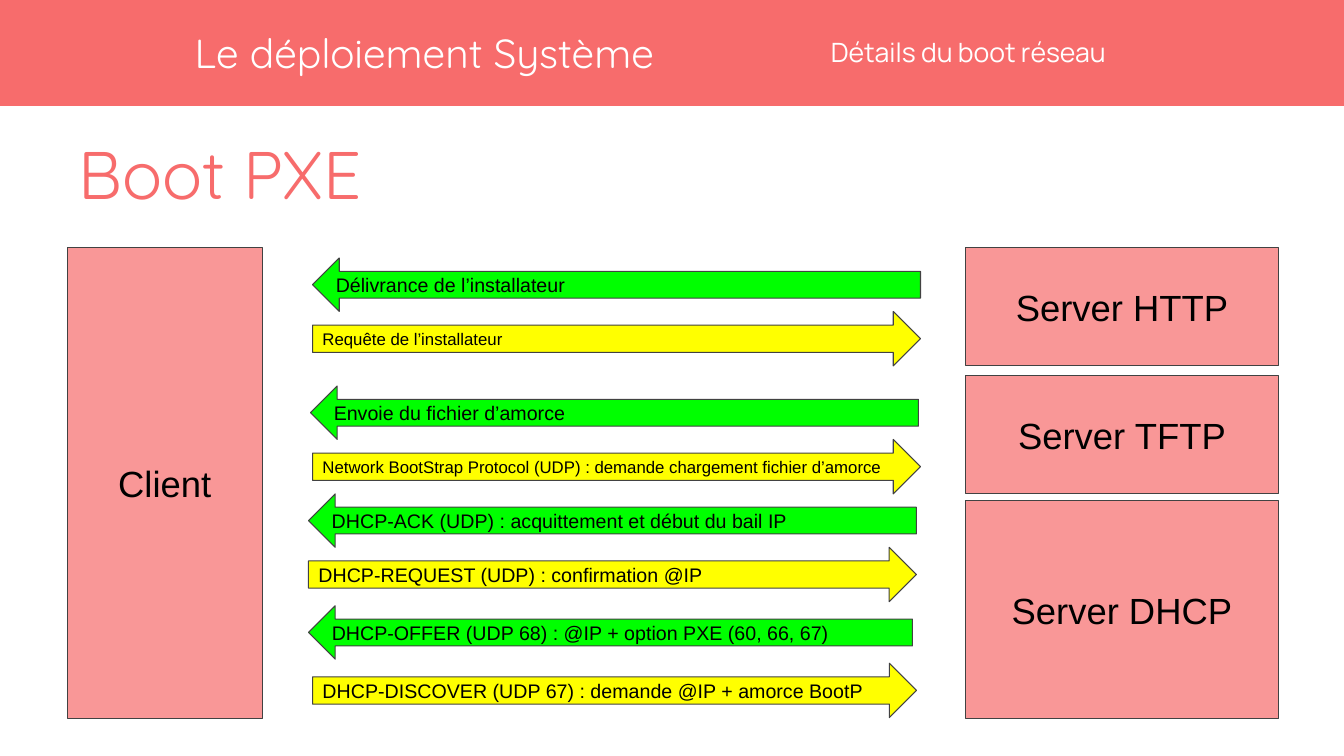
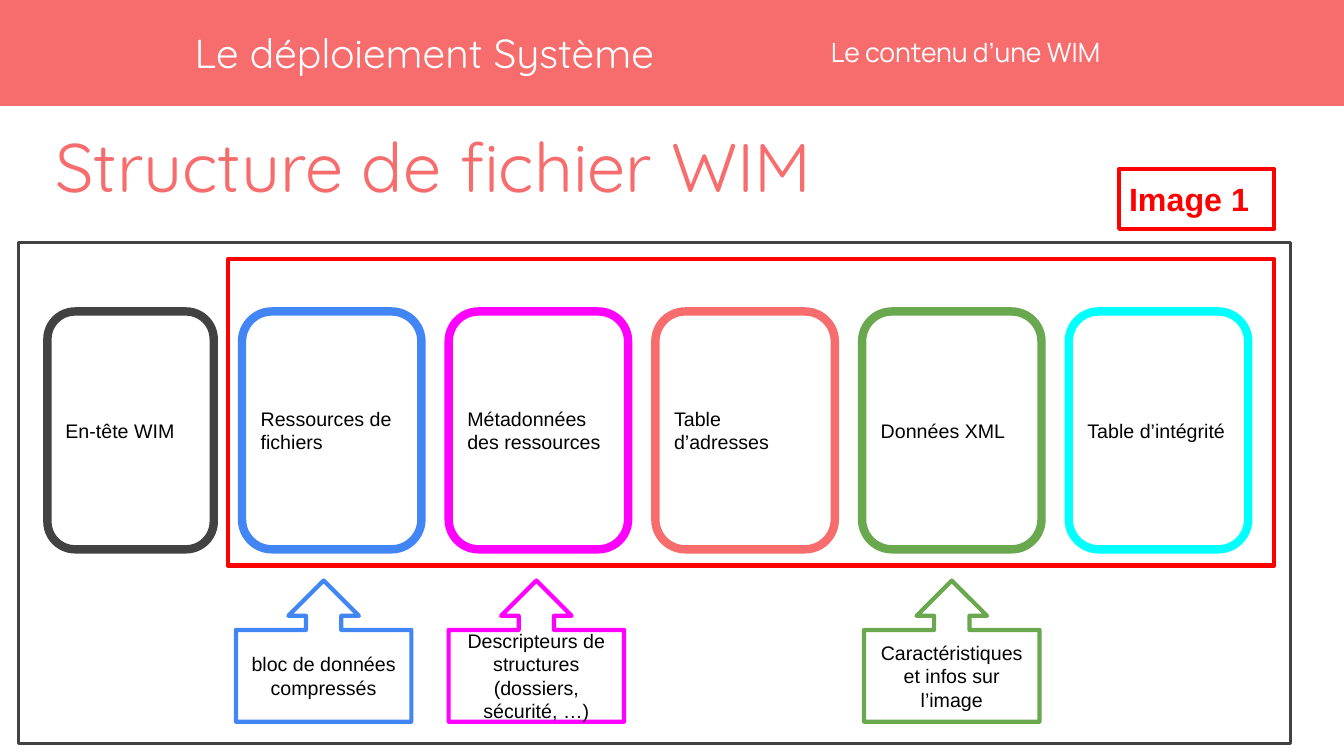
from dataclasses import dataclass

from pptx import Presentation
from pptx.dml.color import RGBColor
from pptx.enum.shapes import MSO_SHAPE as Preset
from pptx.enum.text import MSO_ANCHOR as Anchor, MSO_AUTO_SIZE as AutoSize, PP_ALIGN as Align
from pptx.util import Inches, Pt


@dataclass(frozen=True)
class Theme:
    coral: str = "F76C6C"
    pale_coral: str = "F99797"
    white: str = "FFFFFF"
    black: str = "000000"
    charcoal: str = "424242"
    request: str = "FFFF00"
    reply: str = "00FF00"
    red: str = "FF0000"
    blue: str = "4285F4"
    magenta: str = "FF00FF"
    green: str = "6AA84F"
    cyan: str = "00FFFF"
    heading_font: str = "Quicksand"
    subject_font: str = "Manrope"
    body_font: str = "Arial"
    course_size: int = 29
    subject_size: int = 19
    node_size: int = 26
    tag_size: int = 23
    body_size: int = 14
    small_size: int = 12
    thin: float = 0.75
    frame: float = 2.25
    medium: float = 3
    thick: float = 6


theme = Theme()


def write_text(shape, text, size, color=theme.black, font=theme.body_font,
               align=Align.LEFT, anchor=Anchor.MIDDLE, inset=0.1):
    frame = shape.text_frame
    frame.word_wrap = True
    frame.vertical_anchor = anchor
    frame.margin_left = frame.margin_right = Inches(inset)
    frame.margin_top = frame.margin_bottom = Inches(inset)
    paragraph = frame.paragraphs[0]
    paragraph.text = text
    paragraph.alignment = align
    paragraph.font.name = font
    paragraph.font.size = Pt(size)
    paragraph.font.color.rgb = RGBColor.from_string(color)


def add_box(slide, preset, left, top, width, height, fill=None, line=None, weight=theme.thin):
    shape = slide.shapes.add_shape(preset, Inches(left), Inches(top), Inches(width), Inches(height))
    shape.shadow.inherit = False
    if fill:
        shape.fill.solid()
        shape.fill.fore_color.rgb = RGBColor.from_string(fill)
    else:
        shape.fill.background()
    if line:
        shape.line.color.rgb = RGBColor.from_string(line)
        shape.line.width = Pt(weight)
    else:
        shape.line.fill.background()
    return shape


presentation = Presentation()
presentation.slide_width = Inches(13.33)
presentation.slide_height = Inches(7.5)
blank_layout = presentation.slide_layouts[6]

headers = [
    ("Détails du boot réseau", "Boot PXE", (0.78, 1.31, 12.11, 0.86), 48),
    ("Le contenu d’une WIM", "Structure de fichier WIM", (0.55, 1.23, 12.35, 0.77), 49),
]
slides = []
for subject, title, title_place, title_size in headers:
    slide = presentation.slides.add_slide(blank_layout)
    add_box(slide, Preset.RECTANGLE, -0.02, 0, 13.39, 1.05, theme.coral)
    headings = [
        (subject, (8.24, 0, 5.12, 1.03), theme.subject_size, theme.white, theme.subject_font, Anchor.MIDDLE),
        ("Le déploiement Système", (1.93, 0, 6.25, 1.03), theme.course_size, theme.white,
         theme.heading_font, Anchor.MIDDLE),
        (title, title_place, title_size, theme.coral, theme.heading_font, Anchor.TOP),
    ]
    for text, place, size, color, font, anchor in headings:
        text_box = slide.shapes.add_textbox(*map(Inches, place))
        write_text(text_box, text, size, color, font, anchor=anchor, inset=0)
    slides.append(slide)
boot_slide, wim_slide = slides

nodes = [
    ("Client", 0.67, 2.46, 1.93, 4.67),
    ("Server HTTP", 9.58, 2.46, 3.1, 1.17),
    ("Server TFTP", 9.58, 3.73, 3.1, 1.17),
    ("Server DHCP", 9.58, 4.97, 3.1, 2.16),
]
for text, *place in nodes:
    node = add_box(boot_slide, Preset.RECTANGLE, *place, theme.pale_coral, theme.charcoal)
    write_text(node, text, theme.node_size, align=Align.CENTER)

reply = (Preset.LEFT_ARROW, theme.reply, 0.53)
request = (Preset.RIGHT_ARROW, theme.request, 0.54)
messages = [
    (reply, 3.1, 2.56, 6.03, theme.body_size, "Délivrance de l’installateur"),
    (request, 3.1, 3.09, 6.03, theme.small_size, "Requête de l’installateur"),
    (reply, 3.08, 3.83, 6.03, theme.body_size, "Envoie du fichier d’amorce"),
    (request, 3.1, 4.36, 6.03, theme.small_size,
     "Network BootStrap Protocol (UDP) : demande chargement fichier d’amorce"),
    (reply, 3.06, 4.9, 6.03, theme.body_size, "DHCP-ACK (UDP) : acquittement et début du bail IP"),
    (request, 3.06, 5.43, 6.03, theme.body_size, "DHCP-REQUEST (UDP) : confirmation @IP"),
    (reply, 3.06, 6.01, 5.99, theme.body_size, "DHCP-OFFER (UDP 68) : @IP + option PXE (60, 66, 67)"),
    (request, 3.1, 6.58, 5.99, theme.body_size, "DHCP-DISCOVER (UDP 67) : demande @IP + amorce BootP"),
]
for (preset, fill, height), left, top, width, size, text in messages:
    arrow = add_box(boot_slide, preset, left, top, width, height, fill, theme.charcoal)
    write_text(arrow, text, size)

add_box(wim_slide, Preset.RECTANGLE, 0.18, 2.41, 12.62, 4.97, theme.white, theme.charcoal, theme.frame)
add_box(wim_slide, Preset.RECTANGLE, 2.26, 2.57, 10.38, 3.04, theme.white, theme.red, theme.medium)

section_left, section_step, section_width = 2.4, 2.05, 1.78
sections = [("En-tête WIM", theme.charcoal, 0.47, 1.65)]
resources = [
    ("Ressources de fichiers", theme.blue),
    ("Métadonnées des ressources", theme.magenta),
    ("Table d’adresses", theme.coral),
    ("Données XML", theme.green),
    ("Table d’intégrité", theme.cyan),
]
for index, (text, color) in enumerate(resources):
    sections.append((text, color, section_left + index * section_step, section_width))
for text, color, left, width in sections:
    section = add_box(wim_slide, Preset.FLOWCHART_ALTERNATE_PROCESS, left, 3.09, width, 2.36,
                      theme.white, color, theme.thick)
    write_text(section, text, theme.body_size)

callouts = [
    ("bloc de données compressés", theme.blue, 2.34),
    ("Descripteurs de structures (dossiers, sécurité, …)", theme.magenta, 4.45),
    ("Caractéristiques et infos sur l’image", theme.green, 8.57),
]
for text, color, left in callouts:
    callout = add_box(wim_slide, Preset.UP_ARROW_CALLOUT, left, 5.76, 1.74, 1.4,
                      theme.white, color, theme.medium)
    callout.adjustments[3] = 0.65
    write_text(callout, text, theme.body_size, align=Align.CENTER)

tag = add_box(wim_slide, Preset.RECTANGLE, 11.1, 1.68, 1.54, 0.59, line=theme.red, weight=theme.medium)
write_text(tag, "Image 1", theme.tag_size, theme.red, anchor=Anchor.TOP)
tag.text_frame.auto_size = AutoSize.SHAPE_TO_FIT_TEXT
tag.text_frame.paragraphs[0].font.bold = True

presentation.save("out.pptx")
